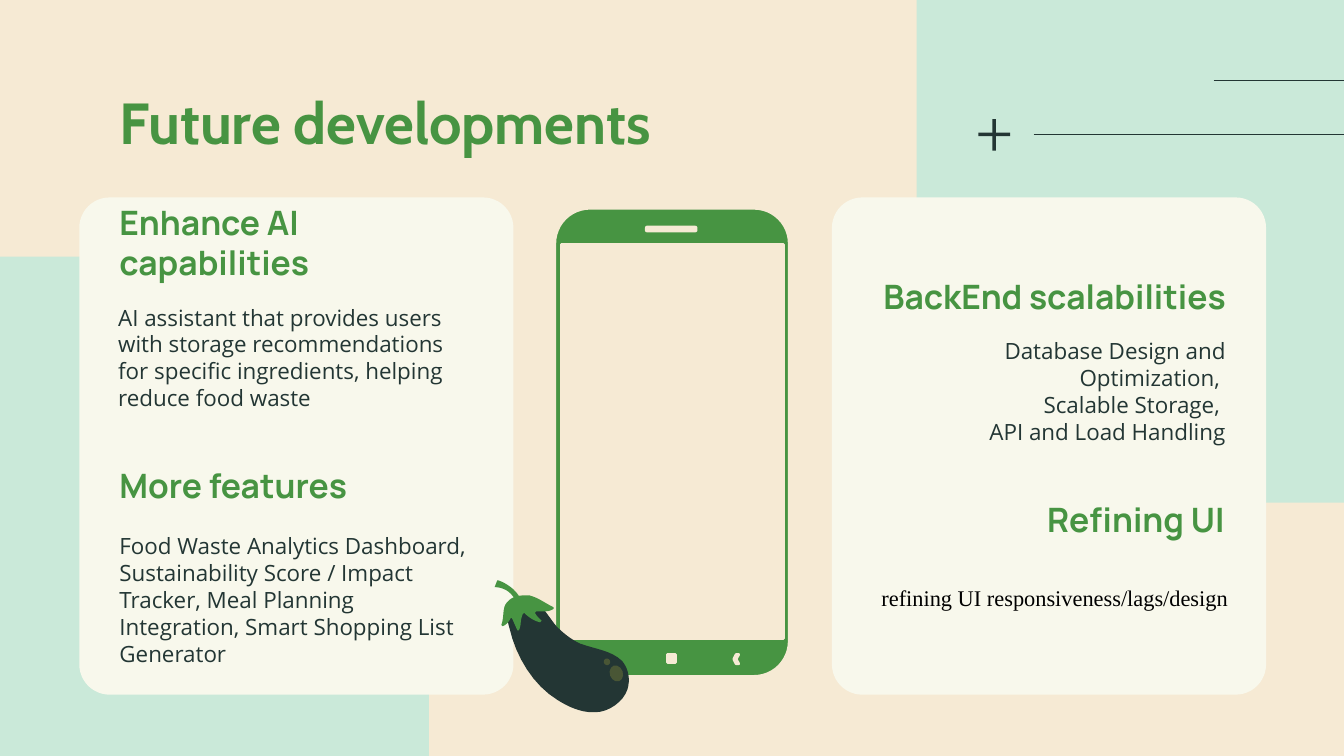
import pptx
import pptx.util
import pptx.dml.color
import pptx.enum.shapes
import pptx.enum.text
import pptx.oxml
import pptx.oxml.ns
from dataclasses import dataclass

Pt = pptx.util.Pt
SHAPE = pptx.enum.shapes.MSO_SHAPE
ALIGN = pptx.enum.text.PP_ALIGN
ANCHOR = pptx.enum.text.MSO_ANCHOR


@dataclass(frozen=True)
class Theme:
    cream: str = "F6EAD4"
    mint: str = "CAE9D9"
    card: str = "F8F8EC"
    green: str = "479442"
    dark: str = "233634"
    black: str = "000000"
    shine: str = "FAEA3F"
    title: tuple = ("Cabin", 31)
    heading: tuple = ("Manrope", 18)
    body: tuple = ("Open Sans", 12)
    plain: tuple = ("Times New Roman", 12)


THEME = Theme()
TITLE = "Future developments"

# (text, left, top, width, alignment)
HEADINGS = [
    ("Enhance AI capabilities", 56.9, 125.3, 208, ALIGN.LEFT),
    ("More features", 56.9, 244.8, 208, ALIGN.LEFT),
    ("BackEnd scalabilities", 461.5, 143.3, 202.3, ALIGN.RIGHT),
    ("Refining UI", 460.8, 262.8, 202.3, ALIGN.RIGHT),
]

# (text, left, top, height, alignment, type, colour, line spacing)
BODIES = [
    ("AI assistant that provides users with storage recommendations for specific "
     "ingredients, helping reduce food waste",
     56.2, 155.5, 26.6, ALIGN.LEFT, THEME.body, THEME.dark, None),
    ("Food Waste Analytics Dashboard, Sustainability Score / Impact Tracker, "
     "Meal Planning Integration, Smart Shopping List Generator",
     56.9, 277.9, 26.6, ALIGN.LEFT, THEME.body, THEME.dark, None),
    ("Database Design and Optimization, \nScalable Storage, \nAPI and Load Handling",
     461.5, 173.5, 68.4, ALIGN.RIGHT, THEME.body, THEME.dark, None),
    ("refining UI responsiveness/lags/design",
     465.1, 291.6, 26.6, ALIGN.LEFT, THEME.plain, THEME.black, 2.0),
]

# (left, top, width, rotation)
MINT_PANELS = [(491, -2.2, 232.6, 180), (-2.9, 137.5, 232.6, 0)]
CARD_LEFTS = [42.5, 445.7]
RULES = [(650.2, 43.2, 735.1), (553.7, 72, 725.8)]  # (from x, y, to x)

# (preset, left, top, width, height, rotation)
PHONE_DETAILS = [
    (SHAPE.RECTANGLE, 301, 131, 118.8, 211, 0),
    (SHAPE.ROUNDED_RECTANGLE, 346.3, 121.7, 26.6, 2, 0),
    (SHAPE.RECTANGLE, 357.8, 350.8, 4.3, 4.3, 0),
    (SHAPE.CHEVRON, 393.1, 350.6, 2.6, 5, 180),
]
PLUS_BARS = [(524.2, 71.1, 17, 1.9), (531.7, 63.8, 1.9, 17)]
SHINES = [(326.7, 356.4, 7, 8.8), (323.5, 352.8, 3.4, 3.6)]

# Outlines: a pair is a straight step, six numbers are a cubic curve step.
AUBERGINE = [
    (THEME.dark, [
        (280.8, 321.1), (278.6, 321.1, 277.2, 321.1, 275.8, 322.6),
        (271.4, 325.4, 271.4, 331.9, 272.9, 336.2),
        (276.5, 352.1, 285.8, 367.2, 298.8, 375.1),
        (304.6, 378.7, 311, 381.6, 317.5, 381.6), (319, 381.6),
        (326.2, 381.6, 334.1, 375.8, 336.2, 369.4),
        (337.7, 364.3, 337, 358.6, 333.4, 354.2),
        (327.6, 348.5, 319, 347.8, 311, 344.9),
        (306, 342.7, 301.7, 339.1, 298.1, 335.5),
        (294.5, 331.2, 292.3, 326.9, 288.7, 324),
        (286.6, 322.6, 283.7, 321.1, 280.8, 321.1)]),
    (THEME.green, [
        (280.8, 319), (276.5, 319, 272.9, 320.4, 270.7, 324),
        (269.3, 326.9, 270, 331.2, 268.6, 334.8), (269.3, 335.5),
        (271.4, 334.8, 272.9, 332.6, 273.6, 331.2), (274.3, 331.2),
        (277.2, 337.7), (277.9, 337.7),
        (279.4, 335.5, 278.6, 331.9, 280.1, 329), (280.8, 328.3),
        (283, 330.5, 285.8, 332.6, 289.4, 333.4), (290.2, 332.6),
        (288.7, 331.2, 287.3, 329.8, 286.6, 328.3), (287.3, 327.6), (290.2, 327.6),
        (292.3, 327.6, 294.5, 327.6, 296.6, 326.2), (296.6, 325.4),
        (292.3, 323.3, 288.7, 320.4, 283.7, 319)]),
    (THEME.green, [
        (266.4, 311), (265, 314.6), (269.3, 314.6, 273.6, 316.8, 275.8, 321.1),
        (276.5, 320.4, 277.2, 320.4, 278.6, 320.4),
        (276.5, 316.1, 271.4, 312.5, 267.1, 311)]),
]


def rgb(code):
    return pptx.dml.color.RGBColor.from_string(code)


def paint(shape, fill, line=None):
    shape.shadow.inherit = False
    shape.fill.solid()
    shape.fill.fore_color.rgb = rgb(fill)
    if line:
        shape.line.color.rgb = rgb(line)
        shape.line.width = Pt(1.5)
    else:
        shape.line.fill.background()


def add_preset(shapes, preset, left, top, width, height, fill, line=None,
               rotation=0, corner=None):
    shape = shapes.add_shape(preset, Pt(left), Pt(top), Pt(width), Pt(height))
    shape.rotation = rotation
    if corner is not None:
        shape.adjustments[0] = corner
    paint(shape, fill, line)
    return shape


def trace(outline, steps=8):
    """Turn straight and cubic steps into a list of points."""
    points = [outline[0]]
    for step in outline[1:]:
        if len(step) == 2:
            points.append(step)
            continue
        corners = [points[-1], step[:2], step[2:4], step[4:]]
        for t in (i / steps for i in range(1, steps + 1)):
            weights = ((1 - t) ** 3, 3 * t * (1 - t) ** 2, 3 * t * t * (1 - t), t ** 3)
            points.append(tuple(sum(w * c[axis] for w, c in zip(weights, corners))
                                for axis in (0, 1)))
    return points


def add_outline(shapes, outline, fill):
    points = [(Pt(x), Pt(y)) for x, y in trace(outline)]
    builder = shapes.build_freeform(*points[0])
    builder.add_line_segments(points[1:], close=True)
    paint(builder.convert_to_shape(), fill)


def add_rule(shapes, start, y, end):
    rule = shapes.add_connector(pptx.enum.shapes.MSO_CONNECTOR.STRAIGHT,
                                Pt(start), Pt(y), Pt(end), Pt(y))
    rule.line.color.rgb = rgb(THEME.dark)
    rule.line.width = Pt(0.75)
    pptx.oxml.ns.qn("a:effectLst")
    rule._element.spPr.append(pptx.oxml.parse_xml(
        f"<a:effectLst {pptx.oxml.ns.nsdecls('a')}/>"))


def write(box, text, style, color, align=ALIGN.LEFT, anchor=ANCHOR.TOP,
          bold=False, spacing=None):
    frame = box.text_frame
    frame.text = text
    frame.word_wrap = True
    frame.auto_size = pptx.enum.text.MSO_AUTO_SIZE.NONE
    frame.vertical_anchor = anchor
    frame.margin_left = frame.margin_right = Pt(7.2)
    frame.margin_top = frame.margin_bottom = Pt(7.2)
    for para in frame.paragraphs:
        para.alignment = align
        para.line_spacing = spacing
        for span in para.runs:
            span.font.name, size = style
            span.font.size = Pt(size)
            span.font.bold = bold
            span.font.color.rgb = rgb(color)


def build():
    deck = pptx.Presentation()
    deck.slide_width, deck.slide_height = Pt(720), Pt(405)
    page = deck.slides.add_slide(deck.slide_layouts[5])
    page.background.fill.solid()
    page.background.fill.fore_color.rgb = rgb(THEME.cream)
    shapes = page.shapes

    for left, top, width, rotation in MINT_PANELS:
        add_preset(shapes, SHAPE.ROUND_1_RECTANGLE, left, top, width, 271.4,
                   THEME.mint, rotation=rotation, corner=0.31)
    for rule in RULES:
        add_rule(shapes, *rule)
    for left in CARD_LEFTS:
        add_preset(shapes, SHAPE.ROUNDED_RECTANGLE, left, 105.8, 232.6, 266.4,
                   THEME.card, corner=0.07)

    title = shapes.title
    title.left, title.top, title.width, title.height = Pt(56.9), Pt(42.5), Pt(607), Pt(44.6)
    write(title, TITLE, THEME.title, THEME.green, anchor=ANCHOR.MIDDLE, bold=True)
    for text, left, top, width, align in HEADINGS:
        box = shapes.add_textbox(Pt(left), Pt(top), Pt(width), Pt(33.1))
        write(box, text, THEME.heading, THEME.green, align, ANCHOR.BOTTOM, bold=True)
    for text, left, top, height, align, style, color, spacing in BODIES:
        box = shapes.add_textbox(Pt(left), Pt(top), Pt(202.3), Pt(height))
        write(box, text, style, color, align, spacing=spacing)

    phone = shapes.add_group_shape().shapes
    add_preset(phone, SHAPE.ROUNDED_RECTANGLE, 297.2, 111.6, 125.6, 250.8,
               THEME.green, THEME.cream, corner=0.15)
    for preset, left, top, width, height, rotation in PHONE_DETAILS:
        add_preset(phone, preset, left, top, width, height,
                   THEME.cream, THEME.cream, rotation)

    aubergine = shapes.add_group_shape().shapes
    for fill, outline in AUBERGINE:
        add_outline(aubergine, outline, fill)
    for spot in SHINES:
        shine = add_preset(aubergine, SHAPE.OVAL, *spot, THEME.shine, rotation=-20)
        tint = shine._element.spPr.find(".//" + pptx.oxml.ns.qn("a:srgbClr"))
        tint.append(pptx.oxml.parse_xml(
            f'<a:alpha {pptx.oxml.ns.nsdecls("a")} val="18000"/>'))

    plus = shapes.add_group_shape().shapes
    for bar in PLUS_BARS:
        add_preset(plus, SHAPE.RECTANGLE, *bar, THEME.dark)
    deck.save("out.pptx")


if __name__ == "__main__":
    build()
